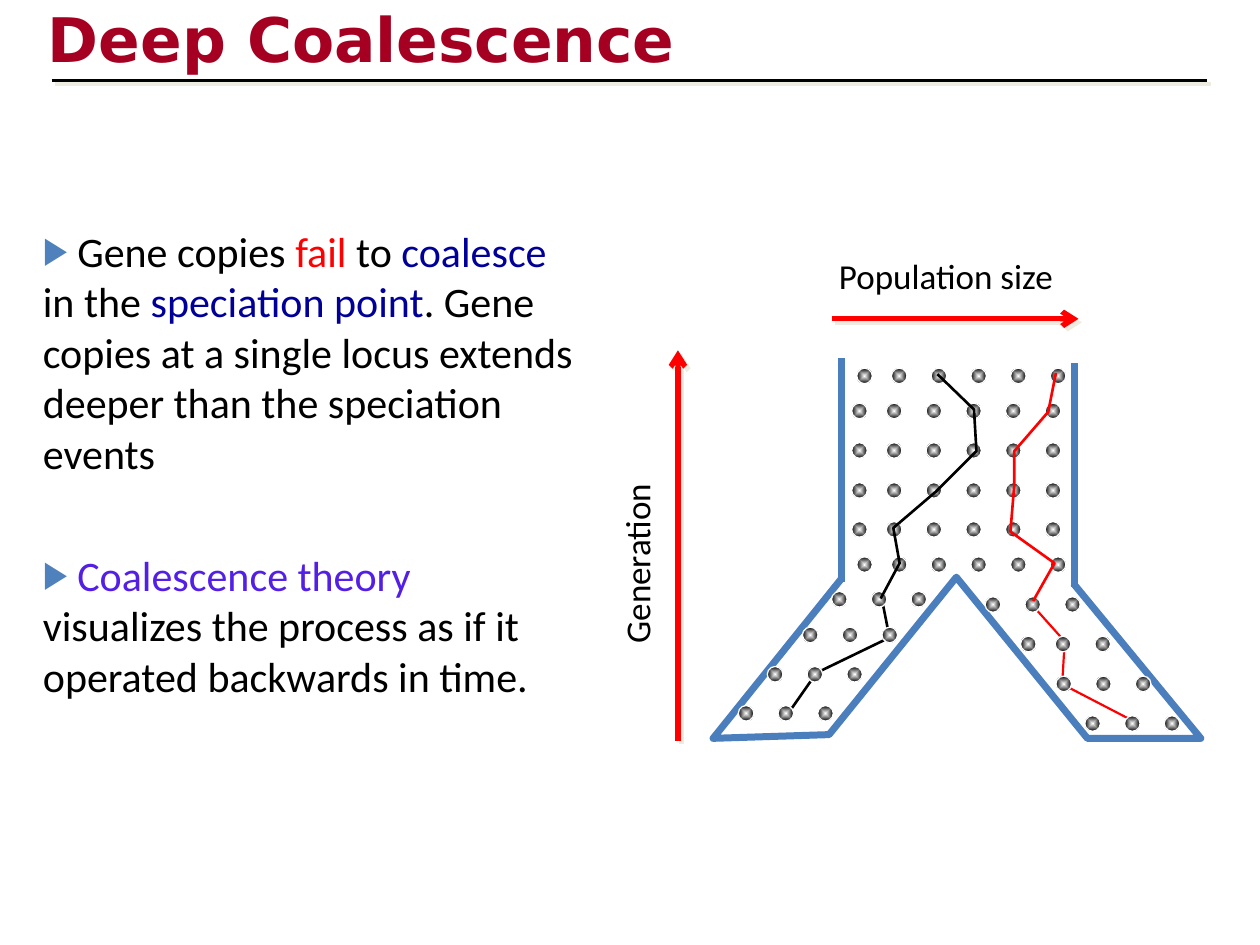
from lxml.etree import SubElement
from pptx import Presentation
from pptx.dml.color import RGBColor
from pptx.enum.shapes import MSO_CONNECTOR, MSO_SHAPE
from pptx.enum.text import MSO_ANCHOR, MSO_AUTO_SIZE, PP_ALIGN
from pptx.oxml import parse_xml
from pptx.oxml.ns import nsdecls, qn
from pptx.util import Pt

COLORS = {
    "title": "A50021", "ink": "000000", "white": "FFFFFF", "red": "FF0000",
    "navy": "000099", "violet": "531FE7", "bullet": "4F81BD",
    "branch": "4B7EBC", "shadow": "EEECE1",
}
DOT_SIZE, DOT_STEP = 8.9, 22.7
FULL_ROWS = [(129.6, 66.4), (126.7, 86.4), (126.7, 109), (126.7, 131.8),
             (126.7, 154.1), (129.6, 174.2)]
LEFT_ROWS = [(115.2, 194), (98.6, 214.4), (78.5, 236.9), (61.9, 259.2)]
RIGHT_ROWS = [(203, 197), (223.2, 219.6), (243.4, 242.4), (259.9, 265)]
NARROW_GAP = 19.8
SPECIES_OUTLINE = [(121, 186.5), (47.5, 277.9), (113.8, 275.8), (186.5, 185.8),
                   (261.4, 277.9), (326.2, 277.9), (253.4, 189.4)]
LOWER_LINEAGES = [
    ("red", 1.25, [(288.7, 268.6), (247, 247), (248.4, 222.5), (229.7, 201.6)]),
    ("ink", 1.5, [(90, 264.2), (106.6, 240.5), (148.3, 220.3), (144, 198.7)]),
]
UPPER_LINEAGES = [
    ("ink", 1.5, [(143.3, 198), (154.1, 177.8), (150.5, 157.7), (175, 136.8),
                  (198, 113.8), (196.6, 90), (175.7, 69.8)]),
    ("red", 1.5, [(230.4, 199.4), (242.6, 177.8), (217.4, 159.8), (219.6, 133.2),
                  (219.6, 113.8), (239, 91.4), (243.4, 69.1)]),
]
STATEMENTS = [
    [(" Gene copies ", "ink"), ("fail", "red"), (" to ", "ink"),
     ("coalesce", "navy"), (" in the ", "ink"), ("speciation point", "navy"),
     (". Gene copies at a single locus extends deeper than the speciation events", "ink")],
    [(" Coalescence theory", "violet"), None,
     ("visualizes the process as if it operated backwards in time.", "ink")],
]


def rgb(name):
    return RGBColor.from_string(COLORS[name])


def effects(shadow):
    inner = (f'<a:outerShdw dist="35921" dir="2700000" algn="ctr" rotWithShape="0">'
             f'<a:srgbClr val="{COLORS["shadow"]}"/></a:outerShdw>') if shadow else ""
    return parse_xml(f'<a:effectLst {nsdecls("a")}>{inner}</a:effectLst>')


def add_text(paragraph, text, size=24, font="Calibri", color="ink", bold=False):
    run = paragraph.add_run()
    run.text = text
    run.font.size, run.font.name, run.font.bold = Pt(size), font, bold
    run.font.color.rgb = rgb(color)
    return run


def place(shape, left, top, width, height):
    shape.left, shape.top = Pt(left), Pt(top)
    shape.width, shape.height = Pt(width), Pt(height)


def add_line(slide, start, end, color, width, arrow=False, shadow=False):
    line = slide.shapes.add_connector(
        MSO_CONNECTOR.STRAIGHT, *(Pt(value) for value in (*start, *end)))
    line.line.color.rgb, line.line.width = rgb(color), Pt(width)
    if arrow:
        SubElement(line.line._get_or_add_ln(), qn("a:tailEnd"), type="arrow")
    line._element.spPr.append(effects(shadow))


def add_path(slide, left, top, points, color, width):
    (first, *rest) = [(Pt(left + x), Pt(top + y)) for x, y in points]
    builder = slide.shapes.build_freeform(*first, scale=1.0)
    builder.add_line_segments(rest, close=False)
    path_shape = builder.convert_to_shape()
    path_shape.fill.background()
    path_shape.line.color.rgb, path_shape.line.width = rgb(color), Pt(width)
    path_shape.shadow.inherit = False


def add_gene(slide, left, top):
    gene = slide.shapes.add_shape(
        MSO_SHAPE.OVAL, Pt(left), Pt(top), Pt(DOT_SIZE), Pt(DOT_SIZE))
    gene.shadow.inherit = False
    gene.line.color.rgb, gene.line.width = rgb("white"), Pt(0.75)
    gene.fill.gradient()
    for stop, color in zip(gene.fill.gradient_stops, ("white", "ink")):
        stop.color.rgb = rgb(color)
    gradient = gene._element.spPr.find(qn("a:gradFill"))
    gradient.remove(gradient.find(qn("a:lin")))
    radial = SubElement(gradient, qn("a:path"), path="shape")
    SubElement(radial, qn("a:fillToRect"), l="50000", t="50000", r="50000", b="50000")


def add_gene_row(slide, left, top, count, first_gap):
    for column in range(count):
        offset = first_gap + (column - 1) * DOT_STEP if column else 0
        add_gene(slide, left + offset, top)


def build_heading(slide, left, top, width, height):
    title = slide.shapes.title
    place(title, left, top, width, height)
    frame = title.text_frame
    frame.auto_size = MSO_AUTO_SIZE.NONE
    frame.vertical_anchor = MSO_ANCHOR.MIDDLE
    paragraph = frame.paragraphs[0]
    paragraph.alignment = PP_ALIGN.LEFT
    run = add_text(paragraph, "Deep Coalescence", 35.1, "DejaVu Sans", "title", True)
    run.font._element.find(qn("a:solidFill")).addnext(effects(True))
    rule_y = top + height
    add_line(slide, (left + 9.3, rule_y), (left + 669.6, rule_y), "ink", 2.25, shadow=True)


def build_statements(slide, left, top, width, height):
    body = slide.placeholders[1]
    place(body, left, top, width, height)
    frame = body.text_frame
    frame.auto_size = MSO_AUTO_SIZE.NONE
    frame.vertical_anchor = MSO_ANCHOR.TOP
    for index, pieces in enumerate(STATEMENTS):
        paragraph = frame.add_paragraph() if index else frame.paragraphs[0]
        properties = paragraph._p.get_or_add_pPr()
        properties.set("marL", "0")
        properties.set("indent", "0")
        bullet_color = SubElement(properties, qn("a:buClr"))
        SubElement(bullet_color, qn("a:srgbClr"), val=COLORS["bullet"])
        SubElement(properties, qn("a:buSzPct"), val="90000")
        SubElement(properties, qn("a:buChar"), char="▶")
        paragraph.space_before = Pt(41 if index else 0)
        for piece in pieces:
            if piece is None:
                paragraph.add_line_break()
            else:
                add_text(paragraph, piece[0], color=piece[1])


def build_gene_tree(slide, left, top):
    for color, width, points in LOWER_LINEAGES:
        add_path(slide, left, top, points, color, width)
    for x, y in ((121, 60.5), (254.2, 63.4)):
        add_line(slide, (left + x, top + y), (left + x, top + y + 128.1), "branch", 4)
    add_path(slide, left, top, SPECIES_OUTLINE, "branch", 4)
    for x, y in FULL_ROWS:
        add_gene_row(slide, left + x, top + y, 6, NARROW_GAP)
    for x, y in LEFT_ROWS + RIGHT_ROWS:
        gap = NARROW_GAP if (x, y) == RIGHT_ROWS[1] else DOT_STEP
        add_gene_row(slide, left + x, top + y, 3, gap)
    for color, width, points in UPPER_LINEAGES:
        add_path(slide, left, top, points, color, width)


def build_axes(slide, left, top):
    for start, end in (((87.4, 283.4), (87.4, 60.2)), ((175.2, 42.2), (316.3, 42.2))):
        add_line(slide, (left + start[0], top + start[1]), (left + end[0], top + end[1]),
                 "red", 3, arrow=True, shadow=True)
    for text, x, y, width, rotation in (("Population size", 172.3, 1.9, 175.7, 0),
                                        ("Generation", 4.6, 159.5, 118.8, 270)):
        label = slide.shapes.add_textbox(Pt(left + x), Pt(top + y), Pt(width), Pt(31.7))
        label.rotation = rotation
        label.text_frame.word_wrap = True
        add_text(label.text_frame.paragraphs[0], text, 20)


def main():
    deck = Presentation()
    deck.slide_width, deck.slide_height = Pt(720), Pt(540)
    slide = deck.slides.add_slide(deck.slide_layouts[1])
    build_heading(slide, 20.2, -2.2, 612, 48.2)
    build_statements(slide, 17.3, 125.3, 320.4, 345.6)
    build_gene_tree(slide, 360, 144)
    build_axes(slide, 300, 140)
    deck.save("out.pptx")


if __name__ == "__main__":
    main()
